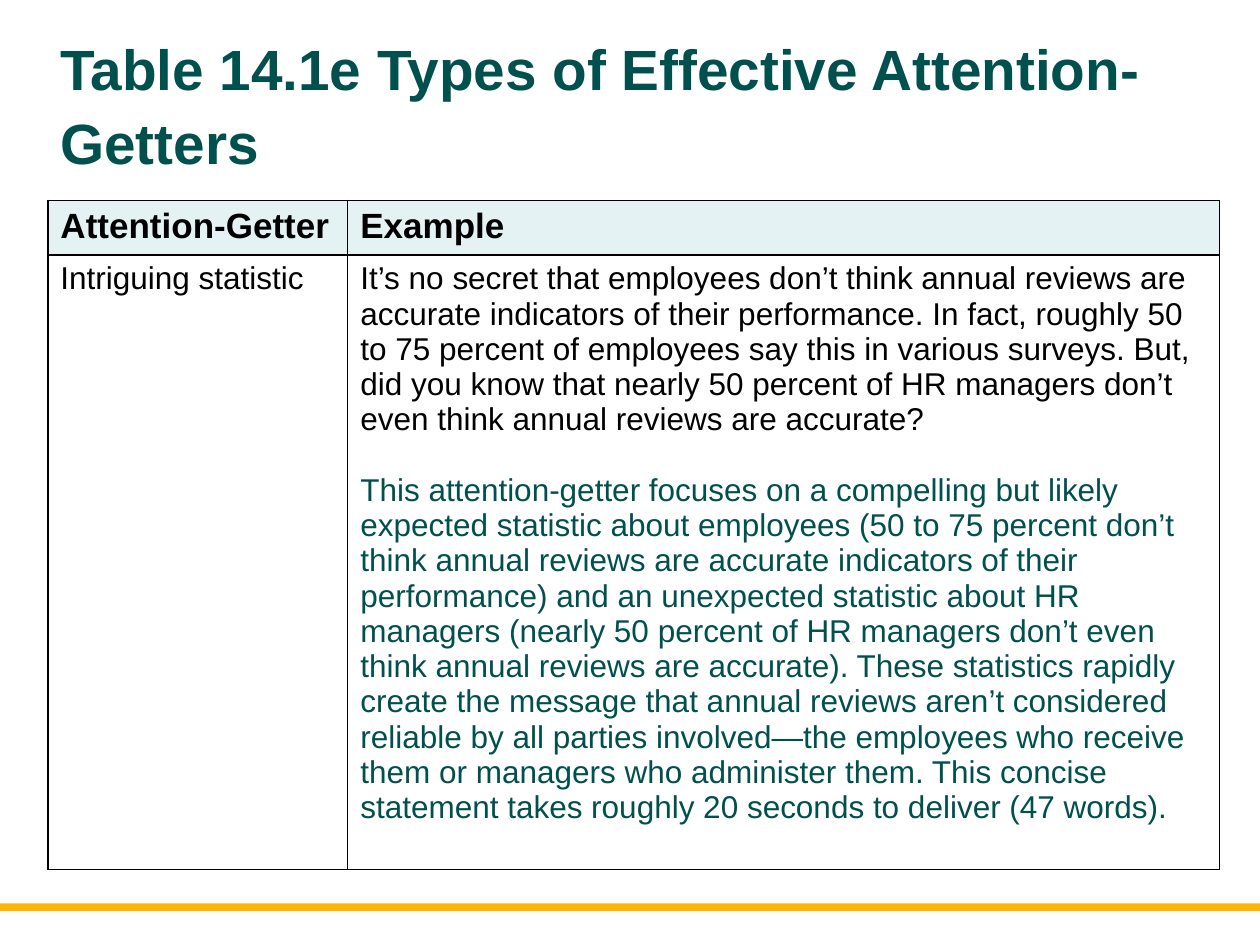
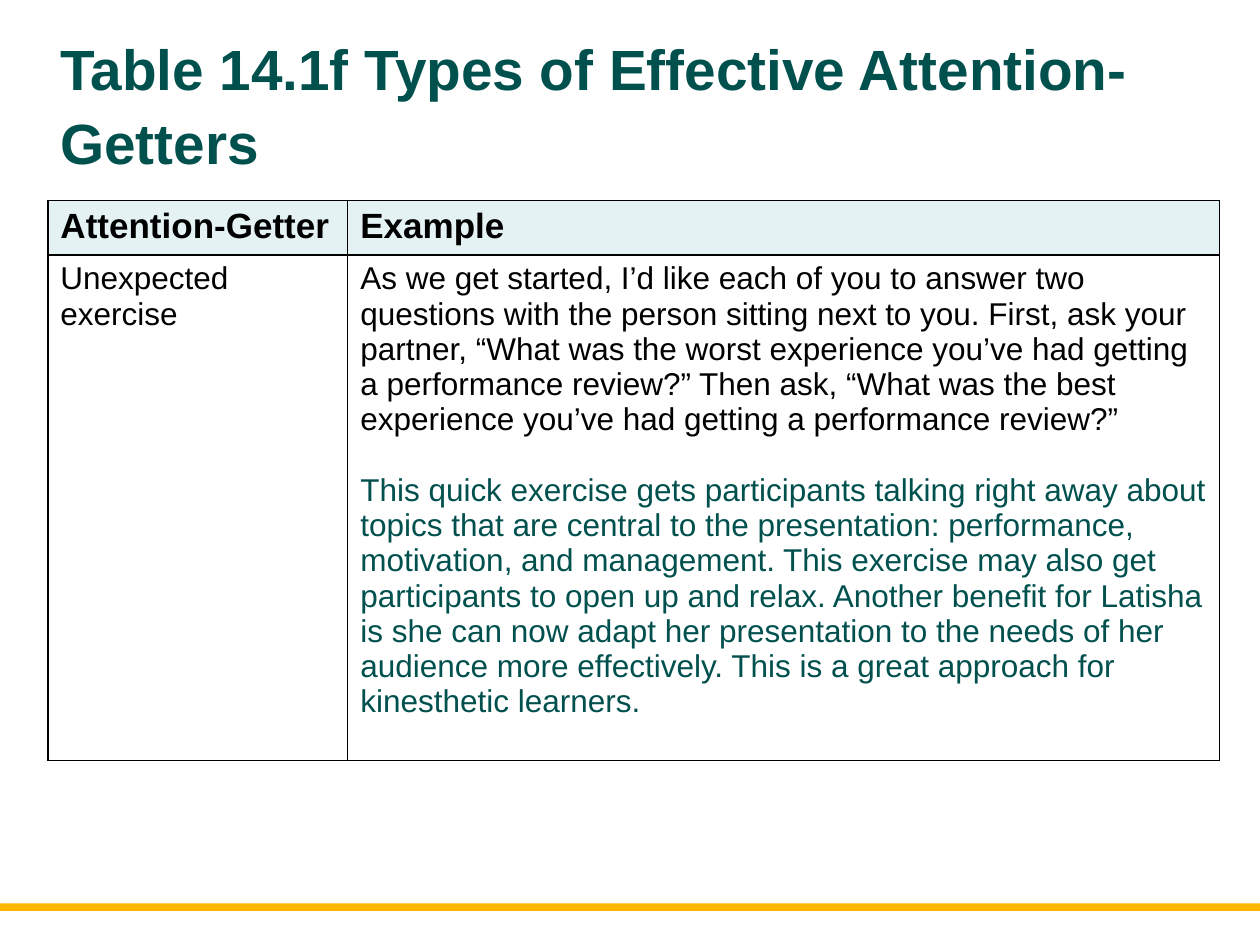
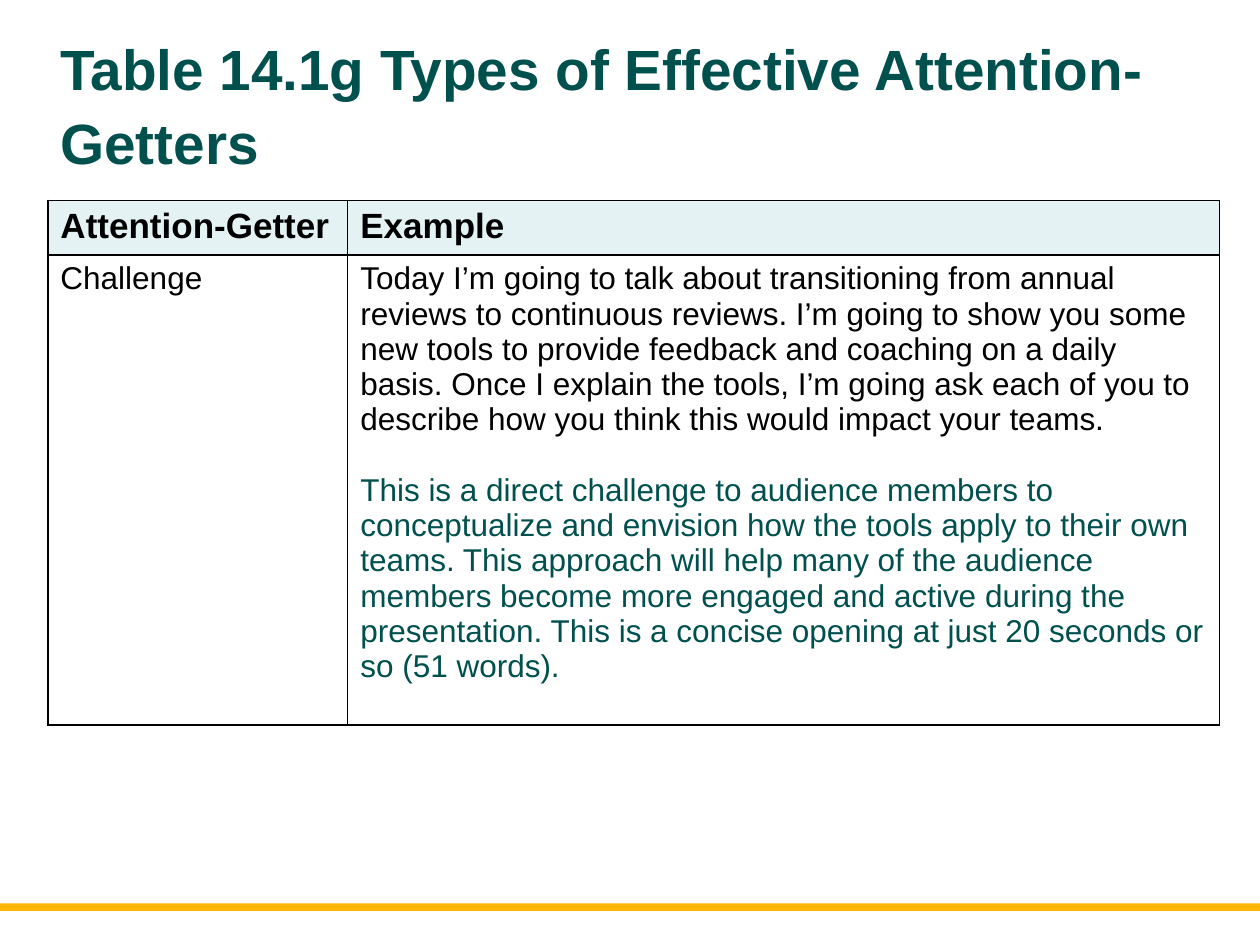
from dataclasses import dataclass

from lxml import etree
from pptx import Presentation
from pptx import util as u
from pptx.dml.color import RGBColor
from pptx.enum import shapes, text
from pptx.oxml import ns

FONT = "Arial"
TEAL, BLACK, GOLD, PALE = "00504E", "000000", "FFB600", "E4F2F4"
HEADINGS = ("Attention-Getter", "Example")
COLUMN_WIDTHS = (2.38, 6.92)
HEADER_HEIGHT = 0.41


@dataclass(frozen=True)
class AttentionGetter:
    """One slide: table letter, kind of opening, example and comment."""
    letter: str
    kind: str
    example: str
    comment: str
    row_height: float


GETTERS = (
    AttentionGetter(
        "e", "Intriguing statistic",
        "It’s no secret that employees don’t think annual reviews are accurate "
        "indicators of their performance. In fact, roughly 50 to 75 percent of "
        "employees say this in various surveys. But, did you know that nearly 50 "
        "percent of HR managers don’t even think annual reviews are accurate?",
        "This attention-getter focuses on a compelling but likely expected "
        "statistic about employees (50 to 75 percent don’t think annual reviews "
        "are accurate indicators of their performance) and an unexpected statistic "
        "about HR managers (nearly 50 percent of HR managers don’t even think "
        "annual reviews are accurate). These statistics rapidly create the message "
        "that annual reviews aren’t considered reliable by all parties "
        "involved—the employees who receive them or managers who administer them. "
        "This concise statement takes roughly 20 seconds to deliver (47 words).",
        4.58),
    AttentionGetter(
        "f", "Unexpected exercise",
        "As we get started, I’d like each of you to answer two questions with the "
        "person sitting next to you. First, ask your partner, “What was the worst "
        "experience you’ve had getting a performance review?” Then ask, “What was "
        "the best experience you’ve had getting a performance review?”",
        "This quick exercise gets participants talking right away about topics "
        "that are central to the presentation: performance, motivation, and "
        "management. This exercise may also get participants to open up and relax. "
        "Another benefit for Latisha is she can now adapt her presentation to the "
        "needs of her audience more effectively. This is a great approach for "
        "kinesthetic learners.",
        4.01),
    AttentionGetter(
        "g", "Challenge",
        "Today I’m going to talk about transitioning from annual reviews to "
        "continuous reviews. I’m going to show you some new tools to provide "
        "feedback and coaching on a daily basis. Once I explain the tools, I’m "
        "going ask each of you to describe how you think this would impact your "
        "teams.",
        "This is a direct challenge to audience members to conceptualize and "
        "envision how the tools apply to their own teams. This approach will help "
        "many of the audience members become more engaged and active during the "
        "presentation. This is a concise opening at just 20 seconds or so (51 "
        "words).",
        3.73),
)


def color(hex_code: str) -> RGBColor:
    """Turn a hex string into a colour."""
    return RGBColor.from_string(hex_code)


def add_run(paragraph, words: str, size: float, hex_code: str = BLACK,
            bold: bool = False) -> None:
    """Add one styled run to a paragraph."""
    run = paragraph.add_run()
    run.text = words
    run.font.name = FONT
    run.font.size = u.Pt(size)
    run.font.bold = bold
    run.font.color.rgb = color(hex_code)


def add_band(slide) -> None:
    """Draw the gold band near the foot of the slide."""
    band = slide.shapes.add_shape(
        shapes.MSO_SHAPE.RECTANGLE, u.Inches(0), u.Inches(7.17),
        u.Inches(10), u.Inches(0.06))
    band.shadow.inherit = False
    band.fill.solid()
    band.fill.fore_color.rgb = color(GOLD)
    band.line.fill.background()


def add_title(slide, words: str) -> None:
    """Write the slide title."""
    frame = slide.shapes.add_textbox(
        u.Inches(0.38), u.Inches(0.33), u.Inches(9.25), u.Inches(0.96)).text_frame
    frame.word_wrap = True
    frame.vertical_anchor = text.MSO_ANCHOR.MIDDLE
    paragraph = frame.paragraphs[0]
    paragraph.line_spacing = 1.09
    add_run(paragraph, words, 32.4, TEAL, bold=True)


def add_borders(cell) -> None:
    """Give a cell a thin black line on each side; call before filling it."""
    properties = cell._tc.get_or_add_tcPr()
    for side in ("lnL", "lnR", "lnT", "lnB"):
        border = etree.SubElement(properties, ns.qn(f"a:{side}"), w=str(u.Pt(1)))
        fill = etree.SubElement(border, ns.qn("a:solidFill"))
        etree.SubElement(fill, ns.qn("a:srgbClr"), val=BLACK)


def add_getter_table(slide, getter: AttentionGetter) -> None:
    """Draw the table with one attention-getter and its example."""
    heights = (HEADER_HEIGHT, getter.row_height)
    table = slide.shapes.add_table(
        len(heights), len(COLUMN_WIDTHS), u.Inches(0.38), u.Inches(1.59),
        u.Inches(sum(COLUMN_WIDTHS)), u.Inches(sum(heights))).table
    table.horz_banding = False
    for column, width in zip(table.columns, COLUMN_WIDTHS):
        column.width = u.Inches(width)
    for row, height in zip(table.rows, heights):
        row.height = u.Inches(height)
    for cell in table.iter_cells():
        add_borders(cell)
        cell.fill.background()

    for index, heading in enumerate(HEADINGS):
        cell = table.cell(0, index)
        cell.fill.solid()
        cell.fill.fore_color.rgb = color(PALE)
        add_run(cell.text_frame.paragraphs[0], heading, 20, bold=True)

    add_run(table.cell(1, 0).text_frame.paragraphs[0], getter.kind, 18)
    example_frame = table.cell(1, 1).text_frame
    add_run(example_frame.paragraphs[0], getter.example, 18)
    comment = example_frame.add_paragraph()
    comment.space_before = u.Pt(20)
    add_run(comment, getter.comment, 18, TEAL)


def main() -> None:
    """Build the presentation."""
    deck = Presentation()
    deck.slide_width, deck.slide_height = u.Inches(10), u.Inches(7.5)
    blank = deck.slide_layouts[6]
    for getter in GETTERS:
        slide = deck.slides.add_slide(blank)
        add_band(slide)
        add_title(slide, f"Table 14.1{getter.letter} Types of Effective "
                         "Attention-Getters")
        add_getter_table(slide, getter)
    deck.save("out.pptx")


main()
